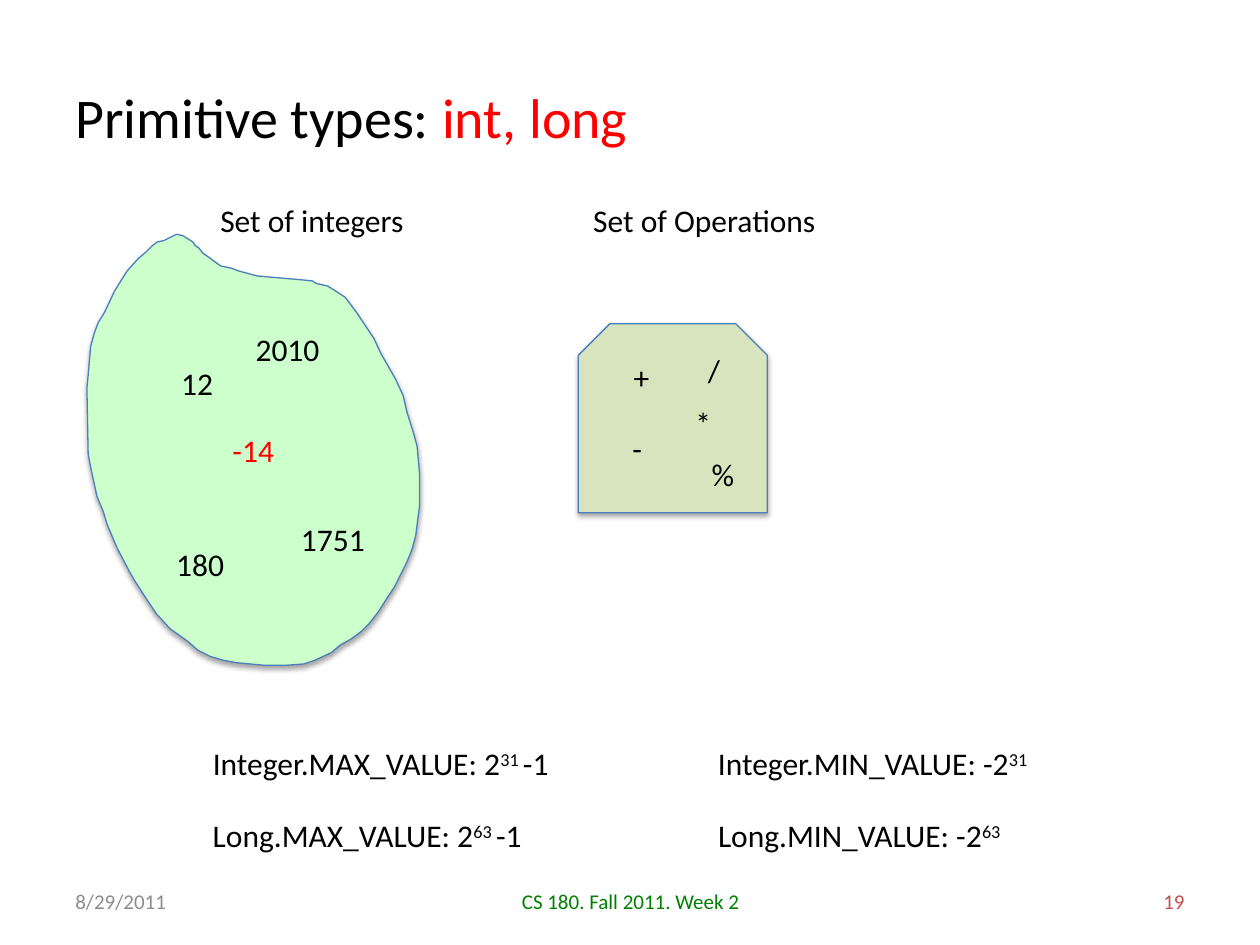
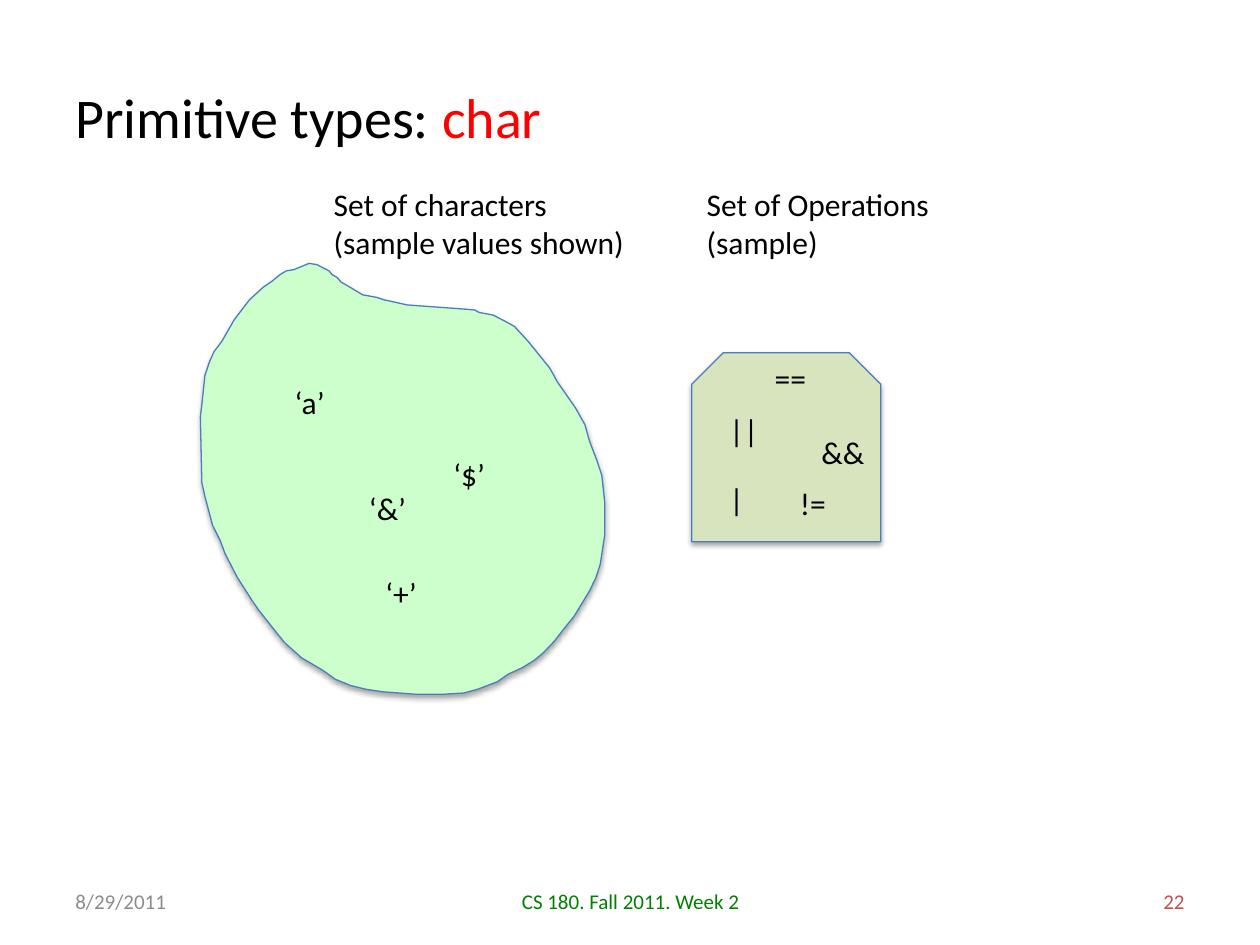
from lxml import etree
from pptx import Presentation
from pptx.dml.color import RGBColor
from pptx.enum.shapes import MSO_SHAPE
from pptx.enum.text import MSO_ANCHOR, MSO_AUTO_SIZE, PP_ALIGN
from pptx.oxml.ns import qn
from pptx.util import Inches, Pt

SNIPPED = MSO_SHAPE.SNIP_2_SAME_RECTANGLE
MIDDLE, TOP = MSO_ANCHOR.MIDDLE, MSO_ANCHOR.TOP
FIT_SHAPE = MSO_AUTO_SIZE.SHAPE_TO_FIT_TEXT
LEFT, CENTER, RIGHT = PP_ALIGN.LEFT, PP_ALIGN.CENTER, PP_ALIGN.RIGHT

FONT = "Calibri"
COLORS = {
    "text": "000000", "accent": "FF0000", "values": "CCFFCC",
    "operations": "D7E4BD", "outline": "4B7EBC", "shadow": "000000",
    "date": "8C8C8C", "course": "008000", "number": "C0504D",
}

# Outline of the set of values, in inches from its left and top edge.
SET_WIDTH = 2.64
SET_OUTLINE = [
    (0.71, 0), (0.61, 0.05), (0.56, 0.06), (0.52, 0.09), (0.47, 0.14),
    (0.41, 0.19), (0.32, 0.29), (0.27, 0.37), (0.22, 0.45), (0.14, 0.62),
    (0.09, 0.70), (0.06, 0.78), (0.03, 0.89), (0.01, 1.12), (0, 1.22),
    (0.01, 1.74), (0.03, 1.85), (0.08, 2.08), (0.13, 2.20), (0.16, 2.30),
    (0.24, 2.49), (0.34, 2.68), (0.38, 2.75), (0.49, 2.92), (0.55, 3.01),
    (0.66, 3.13), (0.80, 3.23), (0.88, 3.30), (0.98, 3.35), (1.08, 3.38),
    (1.19, 3.40), (1.41, 3.42), (1.58, 3.42), (1.72, 3.41), (1.81, 3.38),
    (1.94, 3.32), (2.01, 3.26), (2.10, 3.21), (2.18, 3.15), (2.24, 3.09),
    (2.31, 3.00), (2.38, 2.89), (2.44, 2.80), (2.54, 2.60), (2.58, 2.50),
    (2.61, 2.39), (2.64, 2.15), (2.64, 1.90), (2.62, 1.68), (2.59, 1.57),
    (2.54, 1.41), (2.51, 1.28), (2.45, 1.15), (2.33, 0.94), (2.28, 0.83),
    (2.22, 0.74), (2.14, 0.62), (2.05, 0.50), (1.99, 0.46), (1.91, 0.41),
    (1.82, 0.39), (1.79, 0.37), (1.69, 0.36), (1.46, 0.34), (1.35, 0.33),
    (1.24, 0.30), (1.20, 0.29), (1.15, 0.27), (1.06, 0.25), (0.95, 0.17),
    (0.92, 0.15), (0.89, 0.11), (0.86, 0.09), (0.84, 0.06), (0.76, 0.01),
]


def color(name):
    """Return the named colour."""
    return RGBColor.from_string(COLORS[name])


def write(frame, text, size=18, fill="text", align=LEFT, anchor=TOP):
    """Fill a frame; a line is a string or a list of (text, format) spans."""
    frame.vertical_anchor = anchor
    for index, line in enumerate(text if isinstance(text, list) else [text]):
        para = frame.paragraphs[0] if index == 0 else frame.add_paragraph()
        para.alignment = align
        for words, style in [(line, {})] if isinstance(line, str) else line:
            span = para.add_run()
            span.text = words
            span.font.name = FONT
            span.font.size = Pt(size)
            span.font.color.rgb = color(style.get("fill", fill))
            if style.get("superscript"):
                span._r.get_or_add_rPr().set("baseline", "30000")


def power(base, exponent, rest=""):
    """Return one line of spans with a raised exponent."""
    spans = [(base, {}), (exponent, {"superscript": True})]
    return [spans + [(rest, {})] if rest else spans]


class Lecture:
    """The deck, its style and the current slide."""

    def __init__(self):
        """Start an empty 4:3 deck."""
        self.deck = Presentation()
        self.deck.slide_width, self.deck.slide_height = Inches(10), Inches(7.5)

    def page(self, type_names, number):
        """Add a slide with its title and footers."""
        self.slide = self.deck.slides.add_slide(self.deck.slide_layouts[6])
        title = [[("Primitive types: ", {}), (type_names, {"fill": "accent"})]]
        self.text(title, 0.5, 0.3, 9, 1.25, size=32, anchor=MIDDLE)
        for words, left, width, fill, align in [
            ("8/29/2011", 0.5, 2.33, "date", LEFT),
            ("CS 180. Fall 2011. Week 2", 3.42, 3.17, "course", CENTER),
            (number, 7.17, 2.33, "number", RIGHT),
        ]:
            self.text(words, left, 6.95, width, 0.4, size=12, fill=fill,
                      align=align, anchor=MIDDLE)

    def text(self, text, left, top, width, height, **style):
        """Add a wrapping text box."""
        box = self.slide.shapes.add_textbox(
            Inches(left), Inches(top), Inches(width), Inches(height))
        box.text_frame.word_wrap = True
        write(box.text_frame, text, **style)
        return box

    def label(self, text, left, top, width):
        """Add an unwrapped label that is as tall as its lines."""
        lines = len(text) if isinstance(text, list) else 1
        box = self.text(text, left, top, width, 0.1 + 0.3 * lines)
        box.text_frame.word_wrap = False
        box.text_frame.auto_size = FIT_SHAPE

    def labels(self, rows):
        """Add several labels."""
        for row in rows:
            self.label(*row)

    def finish(self, shape, fill):
        """Give a shape its fill, outline and soft shadow."""
        shape.fill.solid()
        shape.fill.fore_color.rgb = color(fill)
        shape.line.color.rgb = color("outline")
        shape.line.width = Pt(0.75)
        shape.shadow.inherit = False
        effects = shape._element.spPr.find(qn("a:effectLst"))
        shadow = etree.SubElement(
            effects, qn("a:outerShdw"), blurRad=str(Pt(3.1)),
            dist=str(Pt(1.8)), dir="5400000", rotWithShape="0")
        tint = etree.SubElement(shadow, qn("a:srgbClr"), val=COLORS["shadow"])
        etree.SubElement(tint, qn("a:alpha"), val="35000")

    def value_set(self, left, top, width):
        """Draw the outline of the set of values, stretched to a width."""
        points = [(Inches(left + x * width / SET_WIDTH), Inches(top + y))
                  for x, y in SET_OUTLINE]
        builder = self.slide.shapes.build_freeform(*points[0])
        builder.add_line_segments(points[1:], close=True)
        shape = builder.convert_to_shape()
        self.finish(shape, "values")
        return shape

    def operation_set(self, left, top):
        """Draw the snipped square that holds the operations."""
        shape = self.slide.shapes.add_shape(
            SNIPPED, Inches(left), Inches(top), Inches(1.5), Inches(1.5))
        self.finish(shape, "operations")


def integer_page(lecture):
    """Build the slide on int and long."""
    lecture.page("int, long", "19")
    integers = lecture.value_set(0.69, 1.86, SET_WIDTH)
    write(integers.text_frame, "-14", fill="accent", align=CENTER,
          anchor=MIDDLE)
    lecture.operation_set(4.59, 2.57)
    lecture.labels([
        ("Set of integers", 1.65, 1.55, 1.67),
        ("Set of Operations", 4.61, 1.55, 1.99),
        ("12", 1.34, 2.84, 0.46),
        ("180", 1.3, 4.28, 0.59),
        ("2010", 1.93, 2.57, 0.71),
        ("1751", 2.29, 4.08, 0.71),
        ("+", 4.93, 2.79, 0.33),
        ("-", 4.92, 3.36, 0.28),
        ("*", 5.42, 3.16, 0.33),
        ("%", 5.55, 3.56, 0.38),
        ("/", 5.52, 2.74, 0.3),
    ])
    for name, bits, top, maximum_width, minimum_width in [
        ("Integer", "31", 5.86, 2.92, 2.7),
        ("Long", "63", 6.43, 2.7, 2.51),
    ]:
        maximum = power(f"{name}.MAX_VALUE: 2", f"{bits} ", "-1")
        minimum = power(f"{name}.MIN_VALUE: -2", bits)
        lecture.label(maximum, 1.59, top, maximum_width)
        lecture.label(minimum, 5.6, top, minimum_width)


def character_page(lecture):
    """Build the slide on char."""
    lecture.page("char", "22")
    lecture.value_set(1.59, 2.09, 3.21)
    lecture.operation_set(5.49, 2.8)
    lecture.labels([
        (["Set of characters", "(sample values shown)"], 2.55, 1.42, 2.53),
        (["Set of Operations", "(sample)"], 5.51, 1.42, 1.99),
        ("‘a’", 2.24, 2.99, 0.44),
        ("‘&’", 2.83, 3.83, 0.5),
        ("‘$’", 3.5, 3.56, 0.46),
        ("‘+’", 2.96, 4.51, 0.45),
        ("!=", 6.25, 3.79, 0.41),
        ("==", 6.05, 2.8, 0.45),
        ("||", 5.69, 3.21, 0.43),
        ("&&", 6.42, 3.39, 0.55),
        ("|", 5.69, 3.76, 0.32),
    ])


lecture = Lecture()
integer_page(lecture)
character_page(lecture)
lecture.deck.save("out.pptx")
